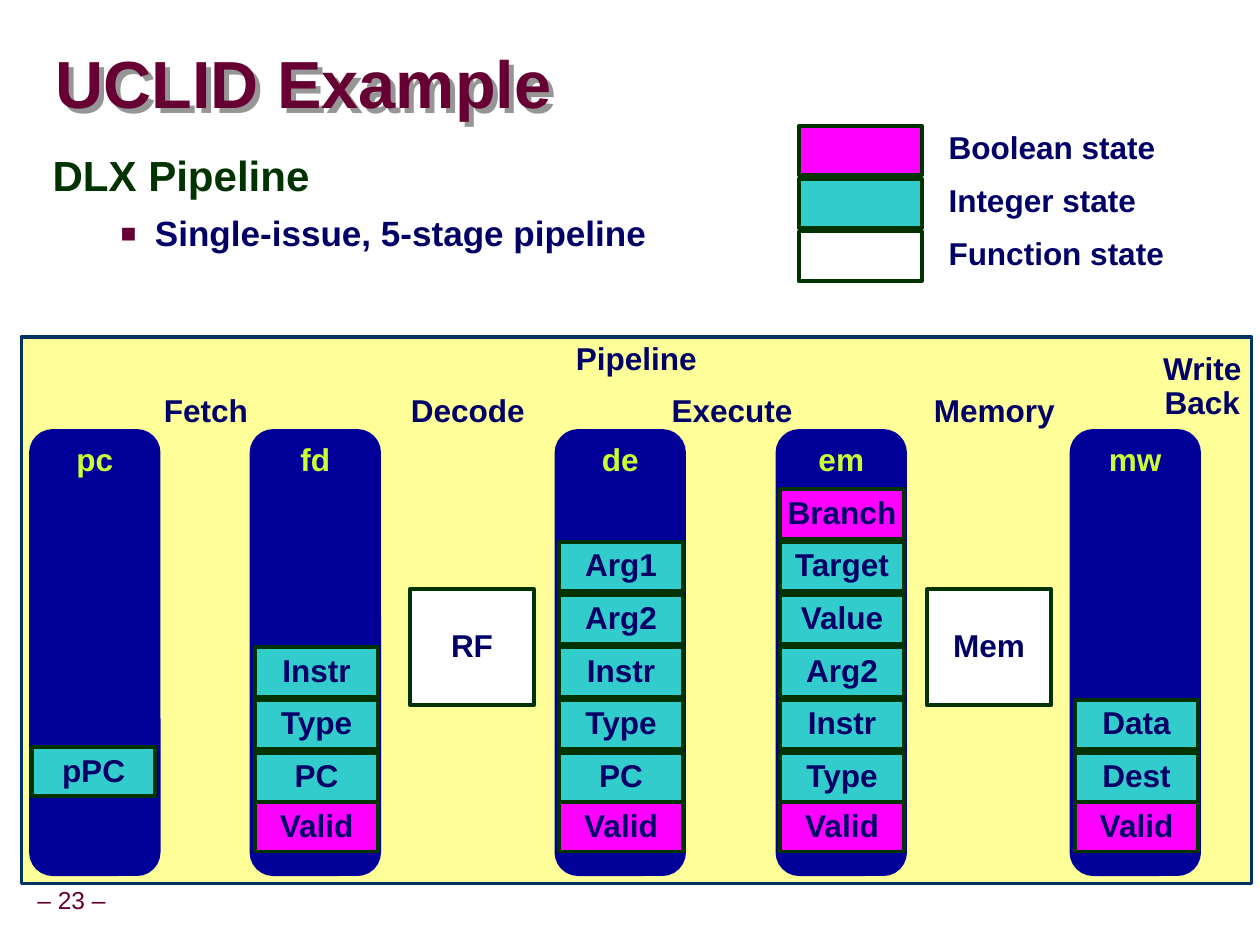
from lxml import etree
from pptx import Presentation
from pptx.dml.color import RGBColor
from pptx.enum.shapes import MSO_SHAPE
from pptx.enum.text import MSO_ANCHOR, PP_ALIGN
from pptx.oxml import parse_xml
from pptx.oxml.ns import nsdecls, qn
from pptx.util import Cm, Pt

RECTANGLE = MSO_SHAPE.RECTANGLE
ROUNDED = MSO_SHAPE.ROUNDED_RECTANGLE
TOP, MIDDLE = MSO_ANCHOR.TOP, MSO_ANCHOR.MIDDLE
LEFT, CENTER = PP_ALIGN.LEFT, PP_ALIGN.CENTER

MAROON = RGBColor(0x66, 0x00, 0x33)
DARK_GREEN = RGBColor(0x00, 0x33, 0x00)
NAVY = RGBColor(0x00, 0x00, 0x66)
LATCH_BLUE = RGBColor(0x00, 0x00, 0x99)
FRAME_BLUE = RGBColor(0x00, 0x33, 0x66)
LIME = RGBColor(0xCC, 0xFF, 0x33)
PALE_YELLOW = RGBColor(0xFF, 0xFF, 0x99)
BOOLEAN = RGBColor(0xFF, 0x00, 0xFF)
INTEGER = RGBColor(0x33, 0xCC, 0xCC)
FUNCTION = RGBColor(0xFF, 0xFF, 0xFF)

INSET = 0.13
CELL_WIDTH, CELL_HEIGHT = 2.49, 0.99
ROW_PITCH = 1.06
VALID_TOP = 16.15
FIRST_INTEGER_TOP = 15.15
STAGE_WIDTH = 3.2
BOOLEAN_FIELDS = ("Valid", "Branch")

# Latch name, left edge, shift of its cells, fields from the bottom up
LATCHES = [
    ("fd", 5.08, 0.05, ["Valid", "PC", "Type", "Instr"]),
    ("de", 11.22, 0.04, ["Valid", "PC", "Type", "Instr", "Arg2", "Arg1"]),
    ("mw", 21.59, 0.05, ["Valid", "Dest", "Data"]),
    ("em", 15.67, 0.04,
     ["Valid", "Type", "Instr", "Arg2", "Value", "Target", "Branch"]),
]
MEMORIES = [("RF", 8.26), ("Mem", 18.67)]
# Stage name and the centre of its label
STAGES = [
    ("Fetch", 4.15),
    ("Decode", 9.42),
    ("Execute", 14.74),
    ("Memory", 20.02),
]
LEGEND = [
    ("Boolean state", BOOLEAN),
    ("Integer state", INTEGER),
    ("Function state", FUNCTION),
]


def set_frame(frame, anchor, wrap, inset=INSET):
    frame.vertical_anchor = anchor
    frame.word_wrap = wrap
    frame.margin_left = frame.margin_right = Cm(inset)
    frame.margin_top = frame.margin_bottom = Cm(inset)


def write(paragraph, text, color, size=18, bold=True, align=CENTER, spacing=0.9):
    paragraph.alignment = align
    paragraph.line_spacing = spacing
    run = paragraph.add_run()
    run.text = text
    run.font.name = "Arial"
    run.font.size = Pt(size)
    run.font.bold = bold
    run.font.color.rgb = color


def add_box(slide, kind, left, top, width, height, fill, line, line_width,
            text="", color=NAVY, anchor=MIDDLE):
    shape = slide.shapes.add_shape(kind, Cm(left), Cm(top), Cm(width), Cm(height))
    shape.shadow.inherit = False
    shape.fill.solid()
    shape.fill.fore_color.rgb = fill
    shape.line.color.rgb = line
    shape.line.width = Pt(line_width)
    if text:
        set_frame(shape.text_frame, anchor, wrap=False)
        write(shape.text_frame.paragraphs[0], text, color)


def add_state(slide, left, top, fill, text="", height=CELL_HEIGHT):
    """Draw one green-edged box that stands for a piece of state."""
    add_box(slide, RECTANGLE, left, top, CELL_WIDTH, height,
            fill, DARK_GREEN, 2.25, text)


def add_latch(slide, name, left):
    add_box(slide, ROUNDED, left, 8.69, 2.54, 8.89, LATCH_BLUE, LATCH_BLUE, 3,
            name, LIME, TOP)


def add_fields(slide, left, fields):
    """Stack the state cells of a latch from the bottom up."""
    for row, field in enumerate(fields):
        top = FIRST_INTEGER_TOP - (row - 1) * ROW_PITCH if row else VALID_TOP
        fill = BOOLEAN if field in BOOLEAN_FIELDS else INTEGER
        add_state(slide, left, top, fill, field)


def add_label(slide, lines, left, top, width, height, color=NAVY, size=18,
              bold=True, align=CENTER, anchor=TOP):
    box = slide.shapes.add_textbox(Cm(left), Cm(top), Cm(width), Cm(height))
    frame = box.text_frame
    set_frame(frame, anchor, wrap=False)
    for index, line in enumerate(lines):
        paragraph = frame.add_paragraph() if index else frame.paragraphs[0]
        write(paragraph, line, color, size, bold, align)


def format_title(title):
    title.left, title.top = Cm(1.12), Cm(0.69)
    title.width, title.height = Cm(24.18), Cm(2.16)
    set_frame(title.text_frame, MIDDLE, wrap=True, inset=0)
    write(title.text_frame.paragraphs[0], "UCLID Example", MAROON, 38,
          align=LEFT, spacing=0.87)
    title._element.spPr.append(parse_xml(
        f'<a:effectLst {nsdecls("a")}>'
        '<a:outerShdw dist="50800" dir="2700000" algn="ctr" rotWithShape="0">'
        '<a:srgbClr val="969696"/></a:outerShdw></a:effectLst>'))


def add_square_bullet(paragraph):
    properties = paragraph._p.get_or_add_pPr()
    properties.set("marL", str(Cm(2.06)))
    properties.set("indent", str(Cm(-0.69)))
    color = etree.SubElement(properties, qn("a:buClr"))
    etree.SubElement(color, qn("a:srgbClr"), val=str(MAROON))
    etree.SubElement(properties, qn("a:buSzPct"), val="75000")
    etree.SubElement(properties, qn("a:buFont"), typeface="Arial")
    etree.SubElement(properties, qn("a:buChar"), char="■")


def add_body(slide):
    box = slide.shapes.add_textbox(Cm(0.81), Cm(2.95), Cm(14.5), Cm(3.4))
    frame = box.text_frame
    set_frame(frame, TOP, wrap=True)
    frame.margin_left = frame.margin_right = Cm(0.25)
    write(frame.paragraphs[0], "DLX Pipeline", DARK_GREEN, 24,
          align=LEFT, spacing=0.95)
    point = frame.add_paragraph()
    write(point, "Single-issue, 5-stage pipeline", NAVY, 20,
          align=LEFT, spacing=0.95)
    point.space_before = Pt(8)
    add_square_bullet(point)


def add_legend(slide):
    for row, (name, fill) in enumerate(LEGEND):
        top = 2.54 + row * ROW_PITCH
        add_state(slide, 16.08, top, fill)
        add_label(slide, [name], 18.97, top, 4.8, 0.94, align=LEFT)


def add_pipeline(slide):
    add_box(slide, RECTANGLE, 0.43, 6.78, 24.77, 11, PALE_YELLOW, FRAME_BLUE, 2,
            "Pipeline", anchor=TOP)
    add_latch(slide, "pc", 0.64)
    add_state(slide, 0.64, 15.04, INTEGER, "pPC")
    for name, left, shift, fields in LATCHES:
        add_latch(slide, name, left)
        add_fields(slide, left + shift, fields)
    for name, left in MEMORIES:
        add_state(slide, left, 11.86, FUNCTION, name, height=2.34)
    for name, center in STAGES:
        add_label(slide, [name], center - STAGE_WIDTH / 2, 7.82,
                  STAGE_WIDTH, 0.94)
    add_label(slide, ["Write", "Back"], 23.16, 6.98, 2.1, 1.63)


def main():
    presentation = Presentation()
    presentation.slide_width, presentation.slide_height = Cm(25.37), Cm(19.02)
    slide = presentation.slides.add_slide(presentation.slide_layouts[5])
    add_label(slide, ["– 23 –"], 0.14, 17.75, 2.6, 0.79, MAROON, 14,
              bold=False, anchor=MIDDLE)
    format_title(slide.shapes.title)
    add_body(slide)
    add_pipeline(slide)
    add_legend(slide)
    presentation.save("out.pptx")


if __name__ == "__main__":
    main()
